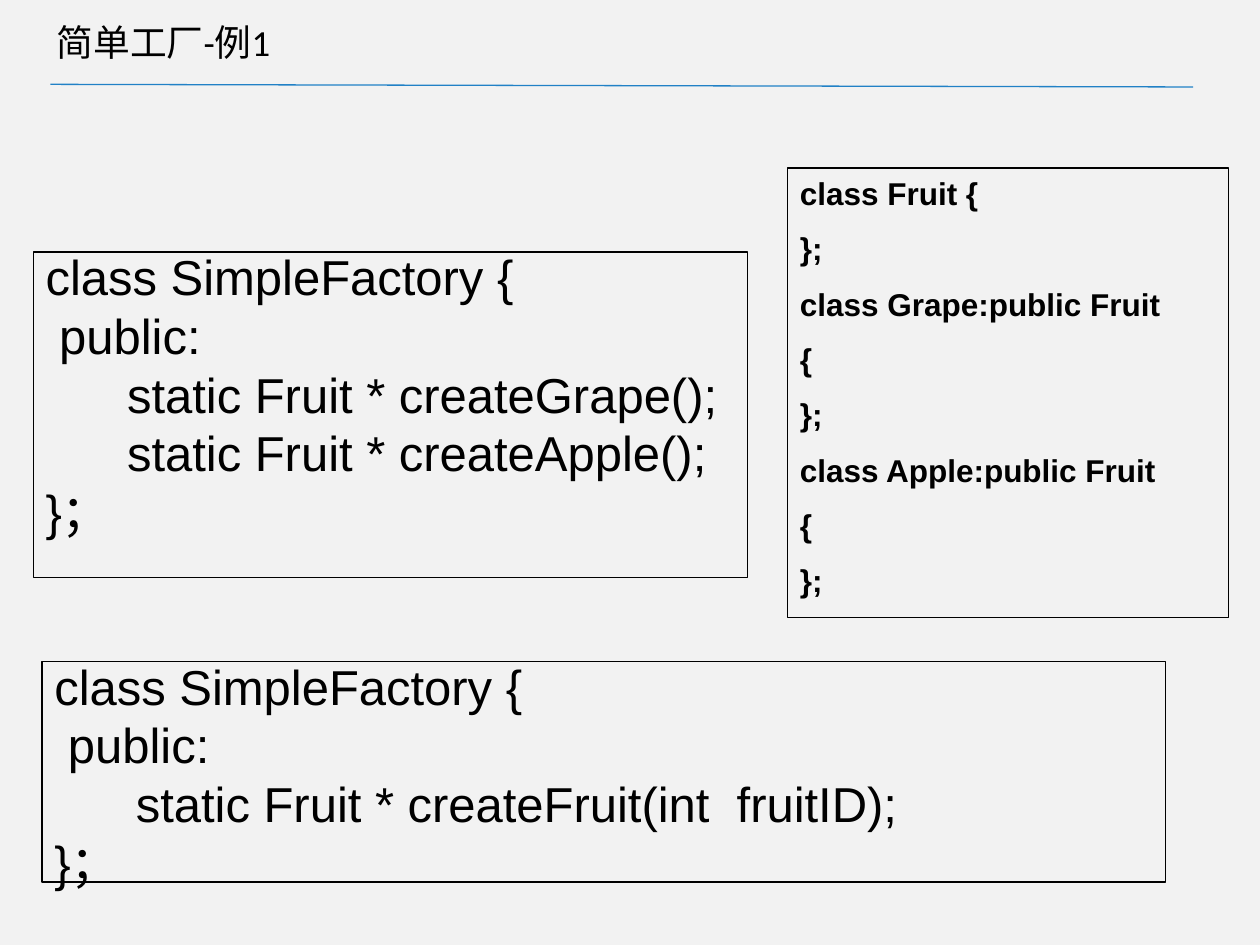
from lxml.etree import SubElement
from pptx import Presentation
from pptx.dml.color import RGBColor
from pptx.enum.shapes import MSO_CONNECTOR, MSO_SHAPE
from pptx.enum.text import MSO_ANCHOR, MSO_AUTO_SIZE, PP_ALIGN
from pptx.oxml.ns import qn
from pptx.util import Pt

BLACK = "000000"
FRUIT_CLASSES = [
    "class Fruit {",
    "};",
    "class Grape:public Fruit",
    "{",
    "};",
    "class Apple:public Fruit",
    "{",
    "};",
]
FACTORY_START = ["class SimpleFactory {", " public:"]
FACTORY_END = ["}；"]
TWO_METHODS = [
    "      static Fruit * createGrape();",
    "      static Fruit * createApple();",
]
ONE_METHOD = ["      static Fruit * createFruit(int  fruitID);"]

CLASS_FONT = {"name": "Arial", "size": Pt(18), "bold": True}
FACTORY_FONT = {"name": "Arial", "size": Pt(28), "bold": False}
TITLE_FONT = {"name": "Calibri", "size": Pt(21), "bold": False}


def paint(color_format, hex_color):
    """Give a colour format the colour of a hex string."""
    color_format.rgb = RGBColor.from_string(hex_color)


def apply(target, values):
    """Set each attribute in values on target."""
    for name, value in values.items():
        setattr(target, name, value)


def place_title(slide, box, text):
    """Place the slide title in its box."""
    title = slide.shapes.title
    apply(title, dict(zip(("left", "top", "width", "height"), map(Pt, box))))
    frame = title.text_frame
    frame.text = text
    apply(frame, {"vertical_anchor": MSO_ANCHOR.MIDDLE,
                  "auto_size": MSO_AUTO_SIZE.NONE, "word_wrap": True})
    heading = frame.paragraphs[0]
    heading.alignment = PP_ALIGN.LEFT
    apply(heading.runs[0].font, TITLE_FONT)
    paint(heading.runs[0].font.color, BLACK)


def place_rule(slide, start, end):
    """Draw the thin blue rule under the title."""
    rule = slide.shapes.add_connector(
        MSO_CONNECTOR.STRAIGHT, *map(Pt, start + end))
    rule.line.width = Pt(0.75)
    paint(rule.line.color, "2181C6")
    SubElement(rule._element.spPr, qn("a:effectLst"))


def place_code(slide, box, lines, font, gap, spacing=1.0, hanging=0):
    """Place a framed code listing in its box."""
    listing = slide.shapes.add_shape(MSO_SHAPE.RECTANGLE, *map(Pt, box))
    listing.shadow.inherit = False
    listing.fill.background()
    listing.line.width = Pt(0.75)
    paint(listing.line.color, BLACK)
    frame = listing.text_frame
    apply(frame, {"word_wrap": True, "vertical_anchor": MSO_ANCHOR.TOP})
    for index, line in enumerate(lines):
        paragraph = frame.add_paragraph() if index else frame.paragraphs[0]
        apply(paragraph, {"alignment": PP_ALIGN.LEFT, "line_spacing": spacing,
                          "space_before": Pt(gap if index else 0)})
        properties = paragraph._p.get_or_add_pPr()
        properties.set("marL", str(Pt(hanging)))
        properties.set("indent", str(-Pt(hanging)))
        run = paragraph.add_run()
        run.text = line
        apply(run.font, font)
        paint(run.font.color, BLACK)


def place_factory(slide, box, methods):
    """Place a SimpleFactory listing with the given methods."""
    place_code(slide, box, FACTORY_START + methods + FACTORY_END,
               FACTORY_FONT, gap=6.6, spacing=0.8, hanging=27)


def main():
    """Build the slide and save it."""
    deck = Presentation()
    deck.slide_width, deck.slide_height = Pt(720), Pt(540)
    slide = deck.slides.add_slide(deck.slide_layouts[5])
    slide.background.fill.solid()
    paint(slide.background.fill.fore_color, "F2F2F2")
    place_rule(slide, (28.8, 48.2), (681.8, 49.7))
    place_title(slide, (25.2, 5.8, 396, 36), "简单工厂-例1")
    place_code(slide, (450, 96, 252, 257), FRUIT_CLASSES, CLASS_FONT, gap=10)
    place_factory(slide, (19, 144, 408, 186), TWO_METHODS)
    place_factory(slide, (24, 378, 642, 126), ONE_METHOD)
    deck.save("out.pptx")


if __name__ == "__main__":
    main()
